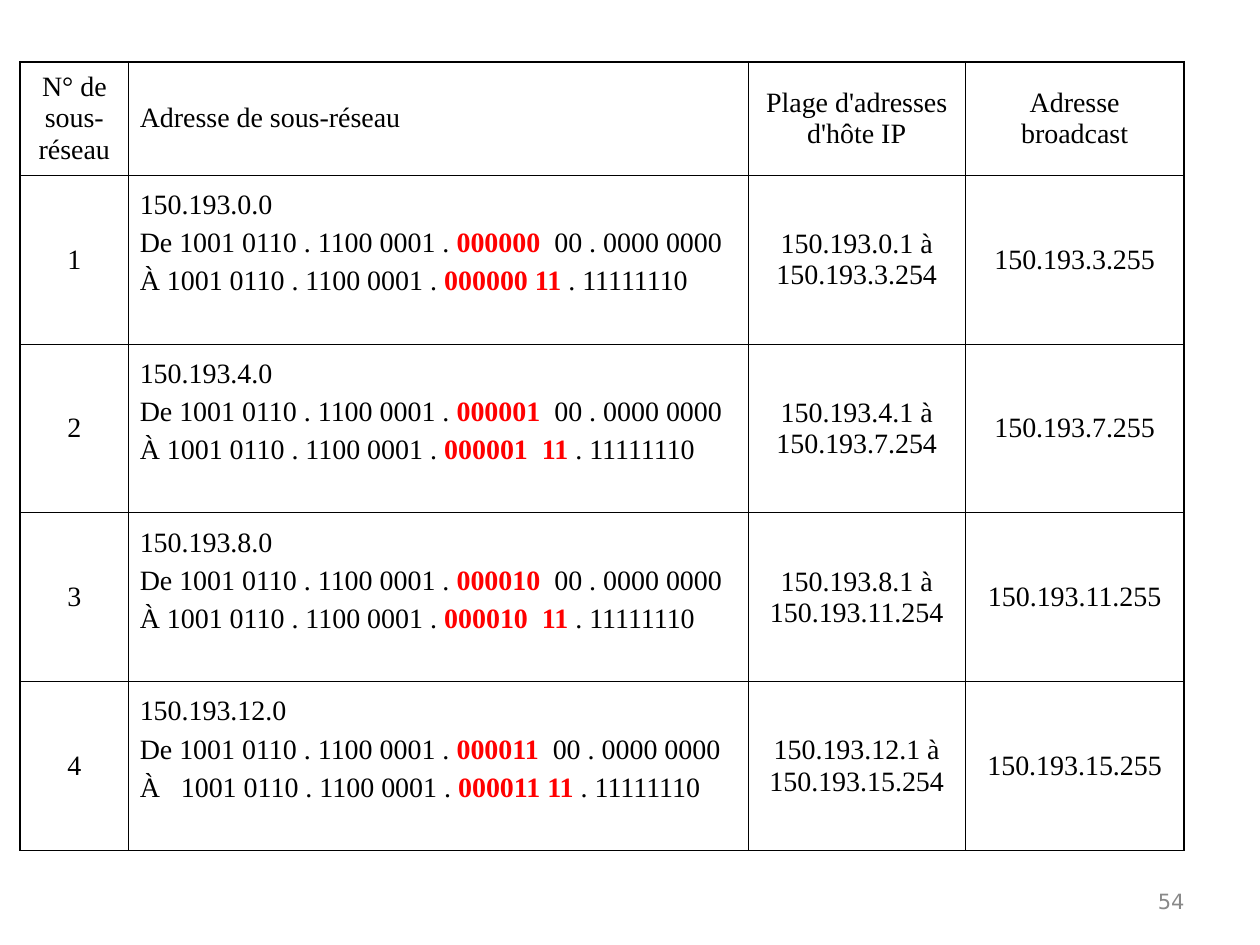
from lxml import etree
from pptx import Presentation
from pptx.dml.color import RGBColor
from pptx.enum.text import MSO_ANCHOR as Anchor, PP_ALIGN as Align
from pptx.oxml.ns import qn
from pptx.util import Inches, Pt

COLORS = {"text": "000000", "subnet": "FF0000", "cell": "FFFFFF",
          "border": "000000", "number": "898989"}
THIN, THICK = Pt(0.45), Pt(1.08)


def write_text(frame, paragraphs, align=Align.CENTER, font="Times New Roman",
               size=16, color="text", gap=4):
    """Fill a frame with paragraphs, each a list of (text, is_subnet) runs."""
    for index, runs in enumerate(paragraphs):
        paragraph = frame.add_paragraph() if index else frame.paragraphs[0]
        paragraph.alignment = align
        if index:
            paragraph.space_before = Pt(gap)
        for text, is_subnet in runs:
            run = paragraph.add_run()
            run.text = text
            run.font.name = font
            run.font.size = Pt(size)
            run.font.bold = is_subnet
            key = "subnet" if is_subnet else color
            run.font.color.rgb = RGBColor.from_string(COLORS[key])


def set_border(cell, side, width):
    line = etree.SubElement(cell._tc.get_or_add_tcPr(), qn(f"a:ln{side}"), w=str(width))
    fill = etree.SubElement(line, qn("a:solidFill"))
    etree.SubElement(fill, qn("a:srgbClr"), val=COLORS["border"])


prs = Presentation()
prs.slide_width, prs.slide_height = Inches(10), Inches(7.5)
slide = prs.slides.add_slide(prs.slide_layouts[6])

# Each subnet takes four values of the third octet
headers = ["N° de sous-réseau", "Adresse de sous-réseau",
           "Plage d'adresses d'hôte IP", "Adresse broadcast"]
rows = [[[[(header, False)]] for header in headers]]
last_address_format = [("À ", " "), ("À ", "  "), ("À ", "  "), ("À   ", " ")]
for index, (prefix, separator) in enumerate(last_address_format):
    first, last = 4 * index, 4 * index + 3
    bits = f"{index:06b}"
    network = "1001 0110 . 1100 0001 . "
    rows.append([
        [[(str(index + 1), False)]],
        [[(f"150.193.{first}.0", False)],
         [(f"De {network}", False), (f"{bits}  ", True), ("00 . 0000 0000", False)],
         [(f"{prefix}{network}", False), (f"{bits}{separator}11", True),
          (" . 11111110", False)]],
        [[(f"150.193.{first}.1 à 150.193.{last}.254", False)]],
        [[(f"150.193.{last}.255", False)]],
    ])

column_widths = [0.86, 4.92, 1.72, 1.74]
row_heights = [0.9] + [1.34] * 4
subnets = slide.shapes.add_table(
    len(rows), len(headers), Inches(0.16), Inches(0.49),
    Inches(sum(column_widths)), Inches(sum(row_heights))).table
for column, width in zip(subnets.columns, column_widths):
    column.width = Inches(width)
for row, height in zip(subnets.rows, row_heights):
    row.height = Inches(height)

last_row, last_column = len(rows) - 1, len(headers) - 1
for r, row in enumerate(rows):
    for c, paragraphs in enumerate(row):
        cell = subnets.cell(r, c)
        outer_sides = {"L": c == 0, "R": c == last_column,
                       "T": r == 0, "B": r == last_row}
        for side, is_outer in outer_sides.items():
            set_border(cell, side, THICK if is_outer else THIN)
        cell.fill.solid()
        cell.fill.fore_color.rgb = RGBColor.from_string(COLORS["cell"])
        cell.vertical_anchor = Anchor.MIDDLE
        cell.margin_left = cell.margin_right = Inches(0.09)
        cell.margin_top = Inches(0.05)
        # The address block sits above the middle of its row
        cell.margin_bottom = Inches(0.31 if r and c == 1 else 0.05)
        write_text(cell.text_frame, paragraphs,
                   align=Align.LEFT if c == 1 else Align.CENTER)

page_number = slide.shapes.add_textbox(
    Inches(7.17), Inches(6.95), Inches(2.33), Inches(0.4)).text_frame
page_number.word_wrap = True
page_number.vertical_anchor = Anchor.MIDDLE
write_text(page_number, [[("54", False)]], align=Align.RIGHT,
           font="DejaVu Sans", size=12, color="number")

prs.save("out.pptx")
